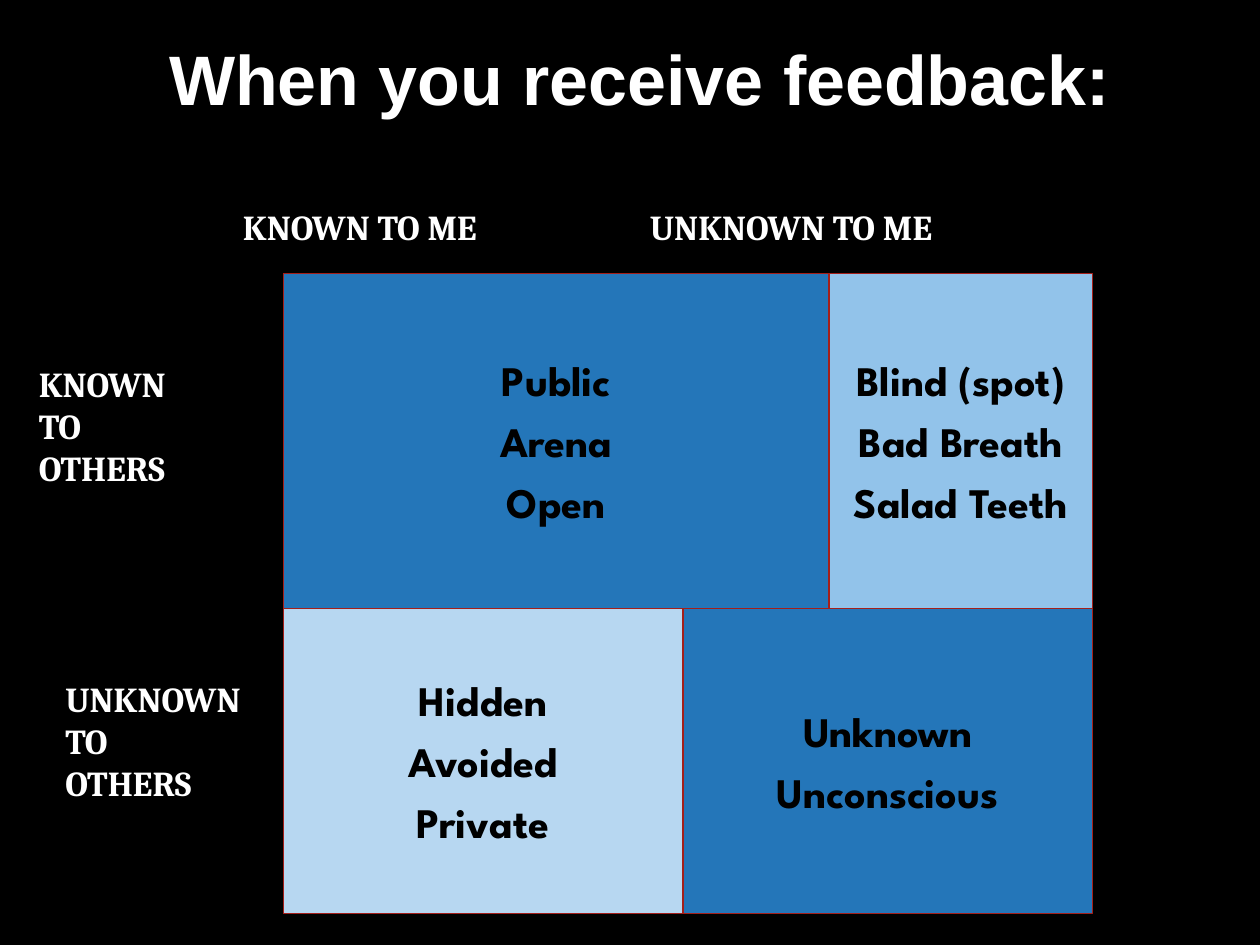
"""Build the feedback slide with its four-pane awareness window."""
import pptx
import pptx.dml.color
import pptx.enum.shapes
import pptx.enum.text
import pptx.util
from pptx.util import Inches

COLORS = {
    "black": "000000",
    "white": "FFFFFF",
    "blue": "2476B9",
    "sky": "92C3EA",
    "pale": "B7D7F1",
    "red": "A41F1A",
}
ALIGN = pptx.enum.text.PP_ALIGN


def color(name):
    return pptx.dml.color.RGBColor.from_string(COLORS[name])


def write(frame, lines, font, size, ink, align, gap=0):
    for index, line in enumerate(lines):
        paragraph = frame.add_paragraph() if index else frame.paragraphs[0]
        paragraph.text = line
        paragraph.alignment = align
        paragraph.space_before = pptx.util.Pt(gap if index else 0)
        paragraph.font.name = font
        paragraph.font.size = pptx.util.Pt(size)
        paragraph.font.bold = True
        paragraph.font.color.rgb = color(ink)


deck = pptx.Presentation()
deck.slide_width, deck.slide_height = Inches(10), Inches(7.5)
page = deck.slides.add_slide(deck.slide_layouts[6])
page.background.fill.solid()
page.background.fill.fore_color.rgb = color("black")

left, right = 2.25, 8.67
rows = [
    (2.17, 4.83, 6.58, [("blue", ["Public", "Arena", "Open"]),
                        ("sky", ["Blind (spot)", "Bad Breath", "Salad Teeth"])]),
    (4.83, 7.25, 5.42, [("pale", ["Hidden", "Avoided", "Private"]),
                        ("blue", ["Unknown", "Unconscious"])]),
]
for top, bottom, split, panes in rows:
    spans = [(left, split), (split, right)]
    for (start, end), (fill, lines) in zip(spans, panes):
        pane = page.shapes.add_shape(
            pptx.enum.shapes.MSO_SHAPE.RECTANGLE,
            Inches(start), Inches(top), Inches(end - start), Inches(bottom - top))
        pane.shadow.inherit = False
        pane.fill.solid()
        pane.fill.fore_color.rgb = color(fill)
        pane.line.color.rgb = color("red")
        pane.line.width = pptx.util.Pt(1)
        pane.text_frame.vertical_anchor = pptx.enum.text.MSO_ANCHOR.MIDDLE
        write(pane.text_frame, lines, "League Spartan", 24, "black", ALIGN.CENTER, 6)

labels = [
    (0.92, 0.23, 8.31, 0.77, ["When you receive feedback:"], "Arial", 40, ALIGN.CENTER, True),
    (1.83, 1.58, 2.39, 0.44, ["KNOWN TO ME"], "Cambria", 20, ALIGN.LEFT, False),
    (5.06, 1.58, 2.84, 0.44, ["UNKNOWN TO ME"], "Cambria", 20, ALIGN.LEFT, False),
    (0.21, 2.83, 1.46, 1.1, ["KNOWN", "TO", "OTHERS"], "Cambria", 20, ALIGN.LEFT, False),
    (0.42, 5.33, 1.75, 1.44, ["UNKNOWN", "TO", "OTHERS"], "Cambria", 20, ALIGN.LEFT, True),
]
for x, y, width, height, lines, font, size, align, wrap in labels:
    box = page.shapes.add_textbox(Inches(x), Inches(y), Inches(width), Inches(height))
    box.text_frame.word_wrap = wrap
    box.text_frame.auto_size = pptx.enum.text.MSO_AUTO_SIZE.SHAPE_TO_FIT_TEXT
    write(box.text_frame, lines, font, size, "white", align)

deck.save("out.pptx")
